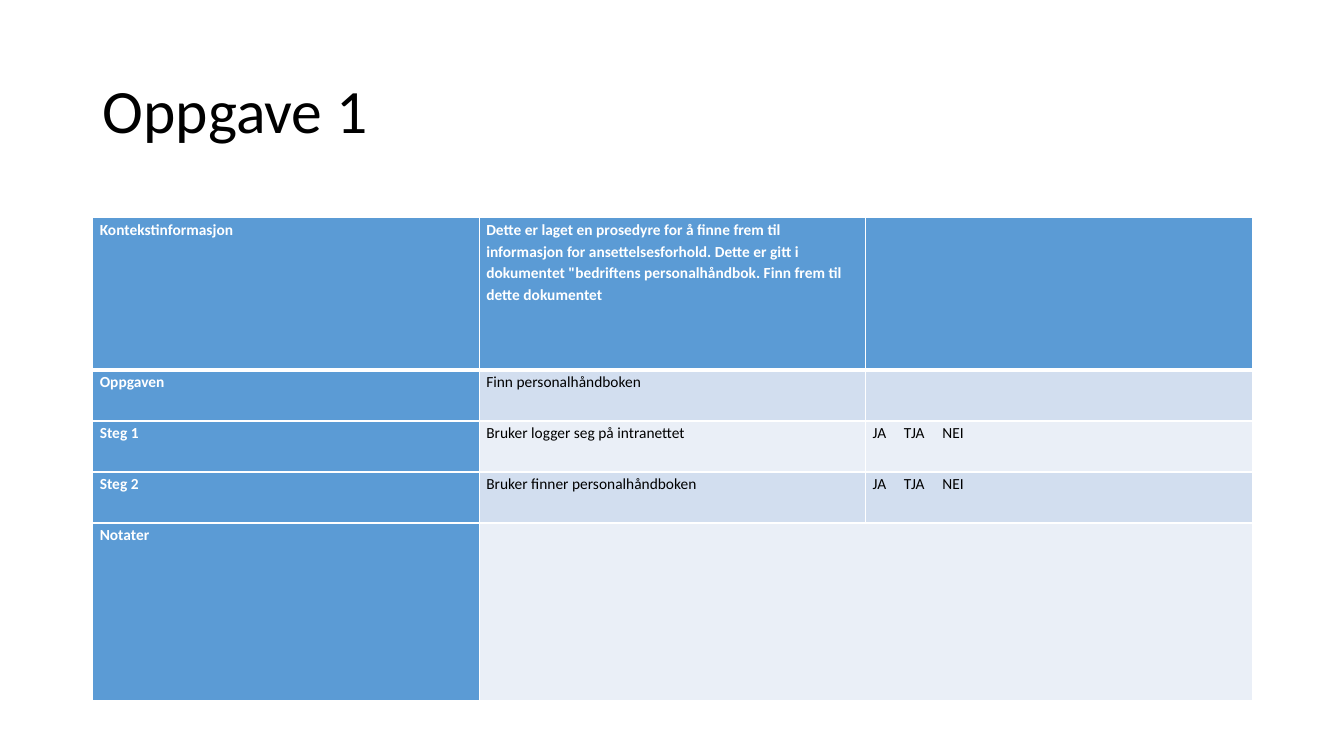
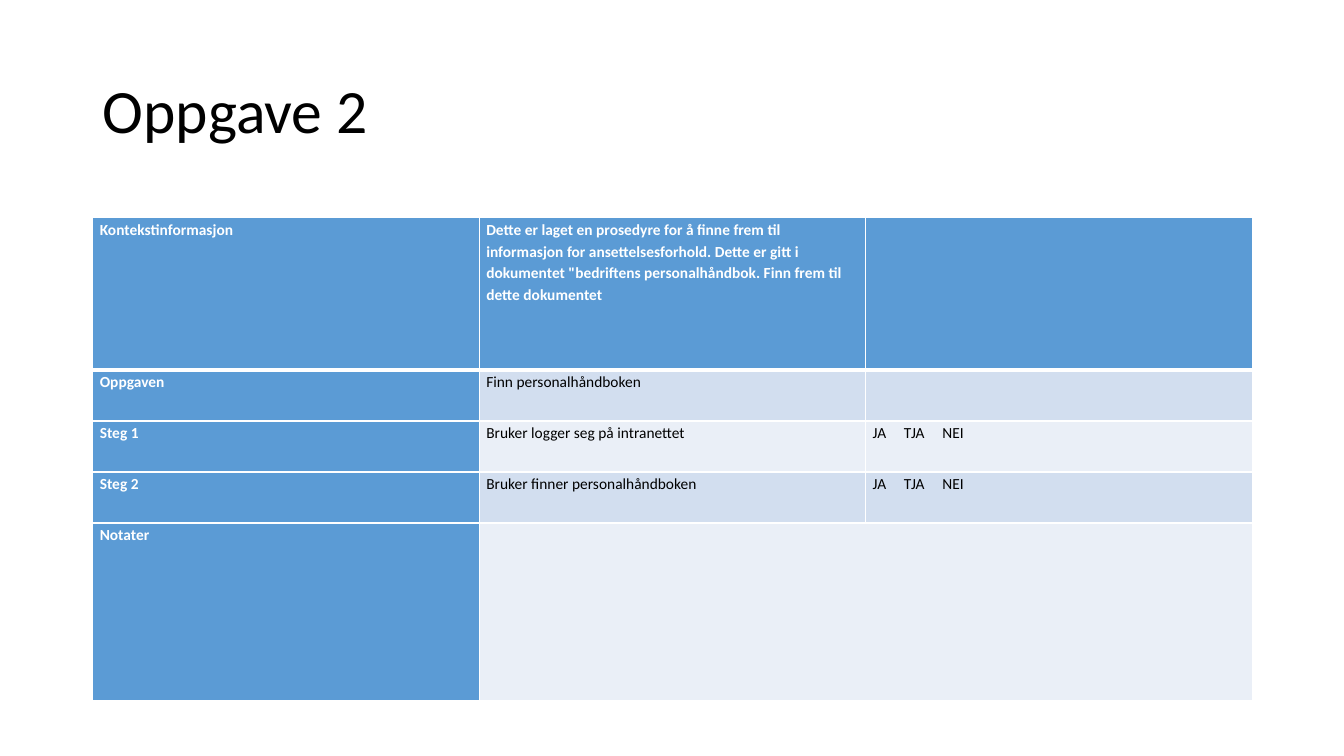
from dataclasses import dataclass

from lxml.etree import SubElement
from pptx import Presentation
from pptx.dml.color import RGBColor as RGB
from pptx.enum.text import MSO_ANCHOR as ANCHOR, MSO_AUTO_SIZE as AUTOSIZE, PP_ALIGN as ALIGN
from pptx.oxml.ns import qn
from pptx.util import Inches, Pt


@dataclass(frozen=True)
class Theme:
    font: str = "Calibri"
    title_size: int = 44
    cell_size: int = 11
    black: str = "000000"
    white: str = "FFFFFF"
    header: str = "5B9BD5"
    bands: tuple = ("EAEFF7", "D2DEEF")
    thin: int = 1
    thick: int = 3


THEME = Theme()
LEFT, WIDTH = 0.92, 11.5
TITLE_BOX = (LEFT, 0.4, WIDTH, 1.45)
TABLE_BOX = (LEFT, 2.16, WIDTH, 4.79)
CONTEXT_HEIGHT, NOTES_HEIGHT = 1.51, 1.76
ANSWER_TABS = (0.31, 0.69)
ANSWERS = "JA\tTJA\tNEI"
TASK_ROWS = [
    ("Kontekstinformasjon",
     "Dette er laget en prosedyre for å finne frem til informasjon for "
     "ansettelsesforhold. Dette er gitt i dokumentet \"bedriftens "
     "personalhåndbok. Finn frem til dette dokumentet", ""),
    ("Oppgaven", "Finn personalhåndboken", ""),
    ("Steg 1", "Bruker logger seg på intranettet", ANSWERS),
    ("Steg 2", "Bruker finner personalhåndboken", ANSWERS),
    ("Notater", "", ""),
]


def write_text(tf, text, size=THEME.cell_size, color=THEME.black, bold=False,
               spacing=1.15, tabs=()):
    p = tf.paragraphs[0]
    if tabs:
        tab_list = SubElement(p._p.get_or_add_pPr(), qn("a:tabLst"))
        for pos in tabs:
            SubElement(tab_list, qn("a:tab"), pos=str(Inches(pos)), algn="l")
    p.alignment = ALIGN.LEFT
    p.line_spacing = spacing
    r = p.add_run()
    r.text = text
    r.font.name = THEME.font
    r.font.size = Pt(size)
    r.font.bold = bold
    r.font.color.rgb = RGB.from_string(color)


def add_title(s, text, box):
    sp = s.shapes.title
    sp.left, sp.top, sp.width, sp.height = map(Inches, box)
    tf = sp.text_frame
    tf.word_wrap = True
    tf.auto_size = AUTOSIZE.NONE
    tf.vertical_anchor = ANCHOR.MIDDLE
    write_text(tf, text, size=THEME.title_size, spacing=0.9)


def set_borders(cell, top, bottom):
    tc_pr = cell._tc.get_or_add_tcPr()
    widths = {"lnL": THEME.thin, "lnR": THEME.thin, "lnT": top, "lnB": bottom}
    for side, width in widths.items():
        ln = SubElement(tc_pr, qn(f"a:{side}"), w=str(Pt(width)))
        fill = SubElement(ln, qn("a:solidFill"))
        SubElement(fill, qn("a:srgbClr"), val=THEME.white)


def format_cell(cell, text, row, col):
    is_header = row == 0 or col == 0
    set_borders(cell,
                top=THEME.thick if row == 1 else THEME.thin,
                bottom=THEME.thick if row == 0 else THEME.thin)
    cell.fill.solid()
    color = THEME.header if is_header else THEME.bands[row % 2]
    cell.fill.fore_color.rgb = RGB.from_string(color)
    cell.margin_left = cell.margin_right = Inches(0.07)
    cell.margin_top = cell.margin_bottom = 0
    if text:
        write_text(cell.text_frame, text, bold=is_header,
                   color=THEME.white if is_header else THEME.black,
                   tabs=ANSWER_TABS if text == ANSWERS else ())


def add_task_table(s, rows, box):
    left, top, width, height = box
    n_rows, n_cols = len(rows), len(rows[0])
    table = s.shapes.add_table(n_rows, n_cols, *map(Inches, box)).table
    table.first_row = table.horz_banding = False
    for column in table.columns:
        column.width = Inches(width / n_cols)
    step_height = (height - CONTEXT_HEIGHT - NOTES_HEIGHT) / (n_rows - 2)
    heights = [CONTEXT_HEIGHT, *[step_height] * (n_rows - 2), NOTES_HEIGHT]
    for i, (texts, row_height) in enumerate(zip(rows, heights)):
        table.rows[i].height = Inches(row_height)
        for j, text in enumerate(texts):
            format_cell(table.cell(i, j), text, i, j)
    table.cell(n_rows - 1, 1).merge(table.cell(n_rows - 1, n_cols - 1))


def add_task_slide(prs, title, rows):
    s = prs.slides.add_slide(prs.slide_layouts[5])
    add_title(s, title, TITLE_BOX)
    add_task_table(s, rows, TABLE_BOX)


def main():
    prs = Presentation()
    prs.slide_width, prs.slide_height = Inches(13.33), Inches(7.5)
    for title in ("Oppgave 1", "Oppgave 2"):
        add_task_slide(prs, title, TASK_ROWS)
    prs.save("out.pptx")


if __name__ == "__main__":
    main()
